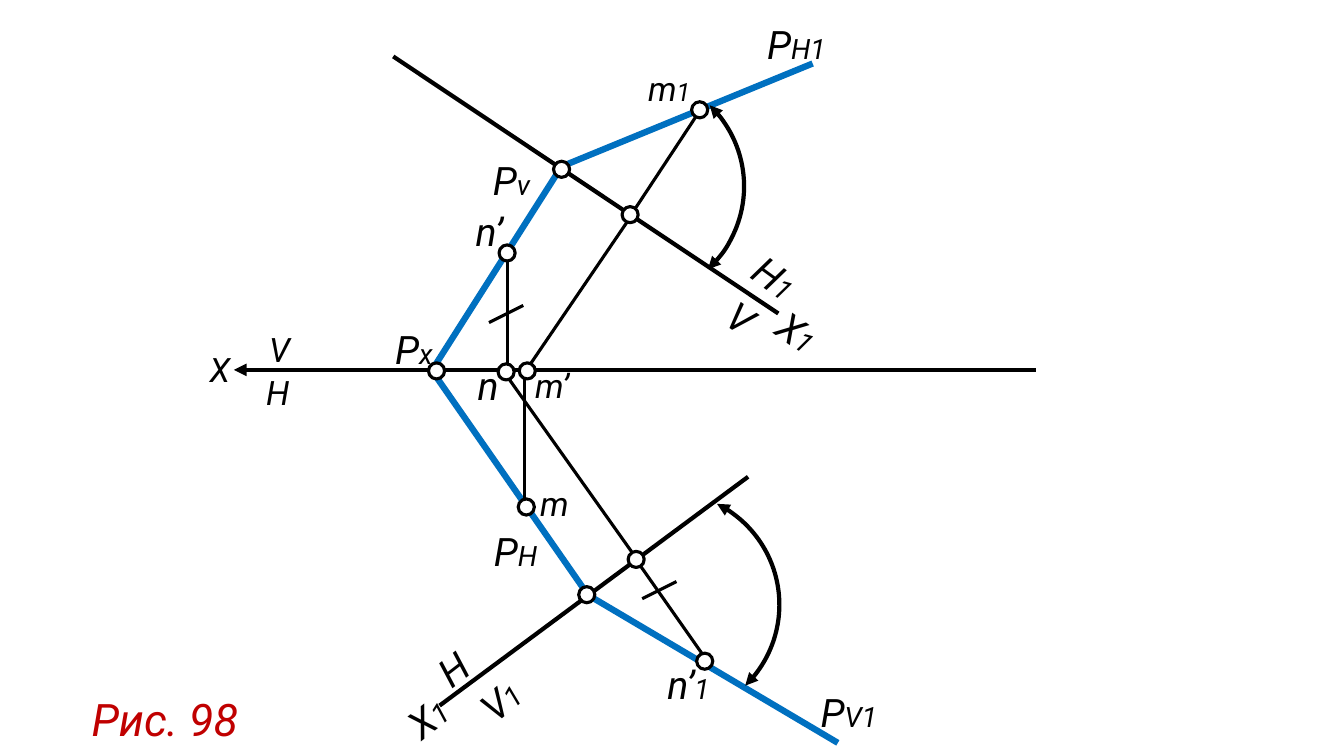
from dataclasses import dataclass

from lxml import etree
from pptx import Presentation, util as u
from pptx.dml.color import RGBColor
from pptx.enum import shapes, text
from pptx.oxml.ns import qn

PX = 9144  # 100 px to the inch


@dataclass(frozen=True)
class Theme:
    font: str = "Roboto"
    ink: str = "000000"
    trace: str = "0070C0"
    caption: str = "C00000"
    paper: str = "FFFFFF"
    large: int = 28
    medium: int = 24
    subscript: int = 20
    small_subscript: int = 18
    caption_size: int = 32
    axis_width: float = 3
    trace_width: float = 4.5
    thin_width: float = 2.25


@dataclass(frozen=True)
class Box:
    left: int
    top: int

    def at(self, x, y):
        return u.Emu((self.left + x) * PX), u.Emu((self.top + y) * PX)


THEME = Theme()
POINT_SIZE = 16
ARC_SIZE = 224
# Text box height for each type size
LABEL_HEIGHT = {THEME.medium: 50, THEME.large: 57, THEME.caption_size: 64}


def style_line(shape, color, width, arrows=()):
    shape.line.color.rgb = RGBColor.from_string(color)
    shape.line.width = u.Pt(width)
    outline = shape.line._get_or_add_ln()
    for end in arrows:
        etree.SubElement(outline, qn(f"a:{end}"), type="triangle")


def add_line(slide, box, ends, width, color=THEME.ink, arrows=()):
    x1, y1, x2, y2 = ends
    connector = slide.shapes.add_connector(
        shapes.MSO_CONNECTOR.STRAIGHT, *box.at(x1, y1), *box.at(x2, y2))
    style_line(connector, color, width, arrows)
    etree.SubElement(connector._element.spPr, qn("a:effectLst"))


def add_lines(slide, box, lines, width, color=THEME.ink):
    for ends in lines:
        add_line(slide, box, ends, width, color)


def add_points(slide, box, centres):
    for x, y in centres:
        corner = box.at(x - POINT_SIZE // 2, y - POINT_SIZE // 2)
        point = slide.shapes.add_shape(
            shapes.MSO_SHAPE.OVAL, *corner, POINT_SIZE * PX, POINT_SIZE * PX)
        point.shadow.inherit = False
        point.fill.solid()
        point.fill.fore_color.rgb = RGBColor.from_string(THEME.paper)
        style_line(point, THEME.ink, THEME.thin_width)


def add_arc(slide, box, x, y, start, end, rotation):
    arc = slide.shapes.add_shape(
        shapes.MSO_SHAPE.ARC, *box.at(x, y), ARC_SIZE * PX, ARC_SIZE * PX)
    arc.shadow.inherit = False
    arc.fill.background()
    # Angles are stored in 60000ths of a degree, adjustments in 100000ths
    arc.adjustments[0] = start * 0.6
    arc.adjustments[1] = end * 0.6
    arc.rotation = rotation
    style_line(arc, THEME.ink, THEME.axis_width, ("headEnd", "tailEnd"))


def add_label(slide, box, name, index, x, y, width, rotation=0,
              size=THEME.large, index_size=THEME.subscript,
              color=THEME.ink, wrap=True):
    label = slide.shapes.add_textbox(
        *box.at(x, y), width * PX, LABEL_HEIGHT[size] * PX)
    label.rotation = rotation
    frame = label.text_frame
    frame.word_wrap = wrap
    frame.auto_size = text.MSO_AUTO_SIZE.SHAPE_TO_FIT_TEXT
    paragraph = frame.paragraphs[0]
    paragraph.text = name
    if index:
        paragraph.add_run().text = index
    for run, points in zip(paragraph.runs, (size, index_size)):
        run.font.name = THEME.font
        run.font.size = u.Pt(points)
        run.font.italic = True
        run.font.color.rgb = RGBColor.from_string(color)


def add_labels(slide, box, labels, size=THEME.large):
    for label in labels:
        add_label(slide, box, *label, size=size)


def draw_upper_view(slide, box):
    # Auxiliary axis, plane traces, projection lines and tick
    add_line(slide, box, (10, 56, 392, 311), THEME.axis_width)
    add_lines(slide, box, [(48, 368, 179, 162), (175, 166, 426, 63)],
              THEME.trace_width, THEME.trace)
    add_lines(slide, box, [(138, 373, 251, 207), (248, 210, 316, 107),
                           (123, 373, 123, 247), (105, 320, 139, 303)],
              THEME.thin_width)
    # Angle and points
    add_arc(slide, box, 134, 73, 287.78, 20.86, 26.3)
    add_points(slide, box, [(177, 168), (123, 251), (314, 109), (245, 213)])
    # Names
    add_labels(slide, box, [
        ("X", "1", 380, 307, 80, 35.5),
        ("H", "1", 354, 259, 102, 36.1),
        ("V", "", 334, 285, 36, 34.7),
        ("P", "v", 99, 150, 64),
        ("P", "H1", 371, 15, 92),
        ("n’", "", 82, 201, 84),
    ])
    add_label(slide, box, "m", "1", 253, 62, 64,
              size=THEME.medium, index_size=THEME.small_subscript)


def draw_lower_view(slide, box):
    # Auxiliary axis, plane traces, projection lines and tick
    add_line(slide, box, (362, 113, 56, 340), THEME.axis_width)
    add_lines(slide, box, [(50, 10, 203, 230), (201, 229, 451, 377)],
              THEME.trace_width, THEME.trace)
    add_lines(slide, box, [(140, 141, 140, 11), (254, 198, 122, 12),
                           (323, 298, 250, 194), (257, 234, 291, 217)],
              THEME.thin_width)
    # Angle and points
    add_arc(slide, box, 169, 128, 290.41, 39.55, 6.2)
    add_points(slide, box, [(202, 230), (142, 143), (251, 195), (319, 296)])
    # Names
    add_labels(slide, box, [
        ("X", "1", 14, 321, 65, 321.9),
        ("H", "", 46, 275, 46, 322.3),
        ("V", "1", 86, 304, 66, 319.4),
        ("P", "H", 100, 158, 78),
        ("P", "V1", 424, 318, 89),
        ("n’", "1", 272, 290, 84),
    ])
    add_label(slide, box, "m", "", 146, 114, 53, size=THEME.medium)


def draw_main_axis(slide, box):
    add_line(slide, box, (42, 57, 838, 57), THEME.axis_width,
             arrows=("headEnd",))
    add_points(slide, box, [(243, 58), (333, 58), (312, 59)])
    add_labels(slide, box, [("P", "x", 192, 8, 65), ("n", "", 274, 44, 84)])
    add_labels(slide, box, [
        ("H", "", 64, 54, 41),
        ("V", "", 67, 11, 52),
        ("X", "", 8, 31, 40),
        ("m’", "", 331, 47, 88),
    ], THEME.medium)


def draw_caption(slide, box):
    add_label(slide, box, "Рис. 98", "", 0, 0, 170,
              size=THEME.caption_size, color=THEME.caption, wrap=False)


def main():
    presentation = Presentation()
    presentation.slide_width = u.Emu(1333 * PX)
    presentation.slide_height = u.Emu(750 * PX)
    slide = presentation.slides.add_slide(presentation.slide_layouts[6])
    draw_upper_view(slide, Box(380, 0))
    draw_lower_view(slide, Box(380, 360))
    draw_main_axis(slide, Box(190, 310))
    draw_caption(slide, Box(81, 681))
    presentation.save("out.pptx")


if __name__ == "__main__":
    main()
